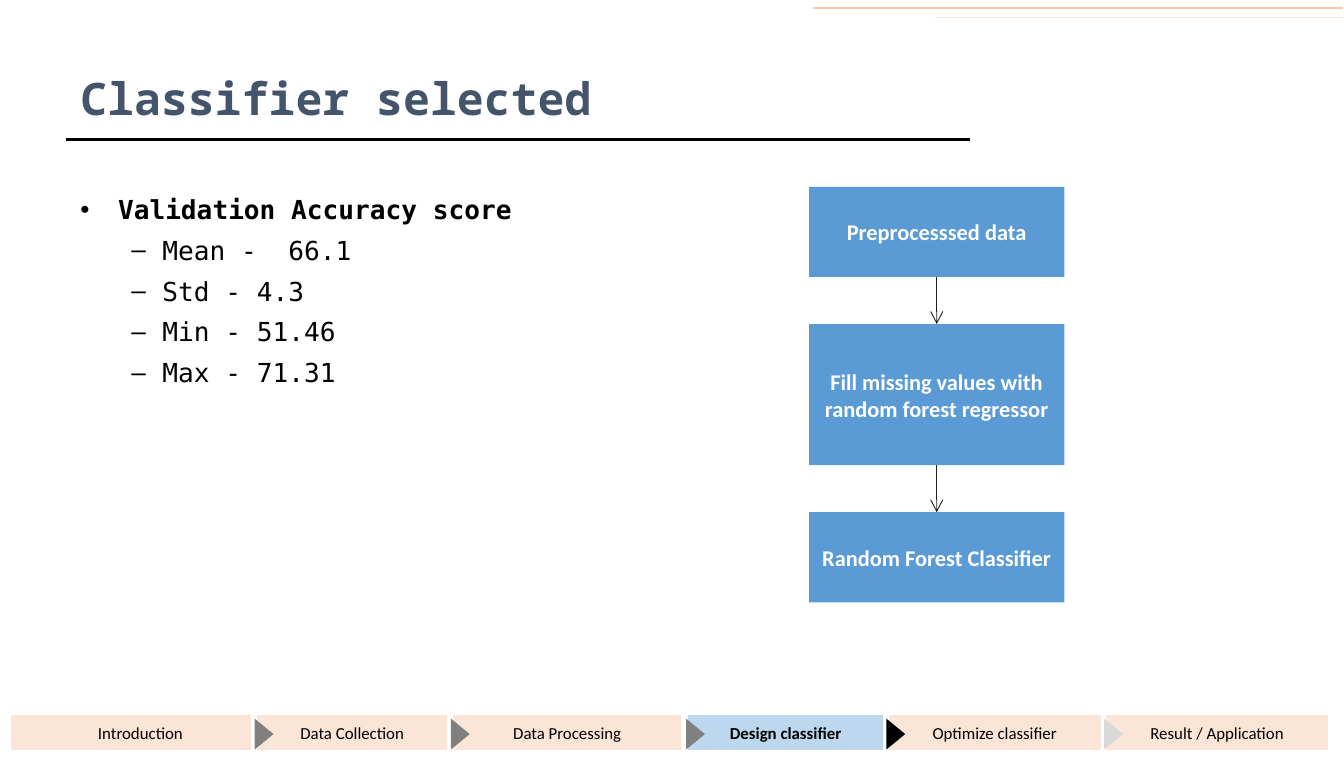
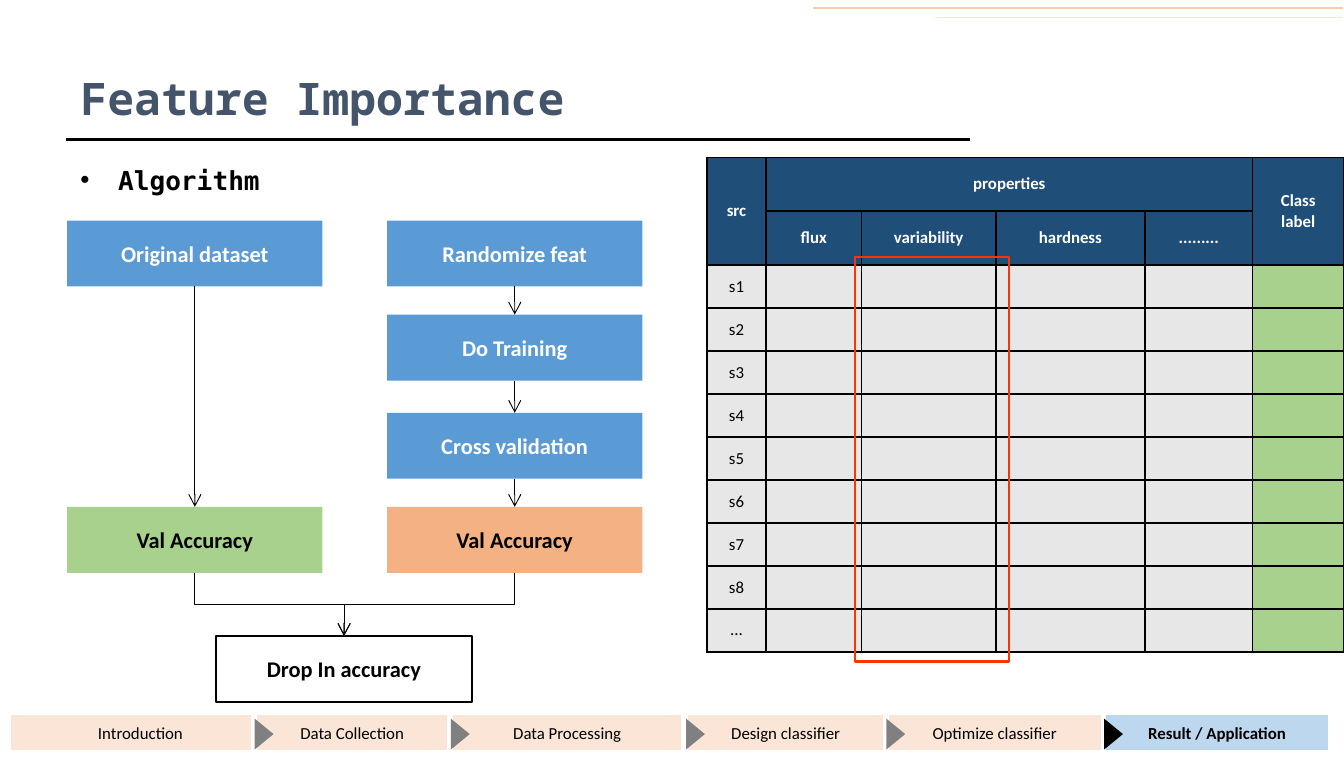
"""Build two slides on a random forest classifier and its feature importance."""
import lxml.etree
import pptx
import pptx.dml.color
import pptx.enum.shapes
import pptx.enum.text
import pptx.oxml.ns
import pptx.util

Inches = pptx.util.Inches
Pt = pptx.util.Pt
SHAPE = pptx.enum.shapes.MSO_SHAPE
CONNECTOR = pptx.enum.shapes.MSO_CONNECTOR
ALIGN = pptx.enum.text.PP_ALIGN
ANCHOR = pptx.enum.text.MSO_ANCHOR

COLORS = {
    "black": "000000", "white": "FFFFFF", "title": "44546A", "ink": "202020",
    "peach": "FBE5D6", "apricot": "F8CBAD", "active": "BDD7EE",
    "done": "808080", "pending": "D9D9D9", "blue": "5B9BD5",
    "green": "A9D18E", "orange": "F4B183", "navy": "1F4E79",
    "cell": "E7E7E7", "red": "FF3300",
}
TITLE_FONT, BODY_FONT, LABEL_FONT = "Noto Sans Mono", "DejaVu Sans Mono", "Calibri"
STEPS = [
    ("Introduction", 0.06, 1.97), ("Data Collection", 1.89, 1.46),
    ("Data Processing", 3.35, 1.74), ("Design classifier", 5.1, 1.49),
    ("Optimize classifier", 6.59, 1.62), ("Result / Application", 8.21, 1.69),
]
BULLETS = [("•", 0.28, 0.28), ("–", 0.61, 0.23)]
BOX_WIDTH = 1.9


def rgb(name):
    return pptx.dml.color.RGBColor.from_string(COLORS[name])


def add_xml(parent, tag, **attributes):
    return lxml.etree.SubElement(parent, pptx.oxml.ns.qn(tag), attributes)


class Builder:
    """Holds the style and the current slide."""

    def __init__(self):
        self.deck = pptx.Presentation()
        self.deck.slide_width, self.deck.slide_height = Inches(10), Inches(5.63)
        self.page = None

    def new_page(self, title):
        self.page = self.deck.slides.add_slide(self.deck.slide_layouts[6])
        self.line((0.49, 1.04), (7.22, 1.04), "black", 1.5)
        self.line((9.99, 0.06), (6.05, 0.06), "apricot", 1)
        self.line((9.99, 0.13), (6.96, 0.13), "peach", 1)
        frame = self.text_box(0.5, 0.4, 8.45, 0.65)
        frame.vertical_anchor = ANCHOR.MIDDLE
        frame.text = title
        self.format(frame.paragraphs[0], TITLE_FONT, 24, "title", True)

    def format(self, para, font, size, color, bold):
        for span in para.runs:
            span.font.name, span.font.size, span.font.bold = font, Pt(size), bold
            span.font.color.rgb = rgb(color)

    def label(self, frame, text, size, color, bold):
        frame.text = text
        for para in frame.paragraphs:
            para.alignment = ALIGN.CENTER
            self.format(para, LABEL_FONT, size, color, bold)

    def text_box(self, left, top, width, height):
        box = self.page.shapes.add_textbox(
            Inches(left), Inches(top), Inches(width), Inches(height))
        box.text_frame.word_wrap = True
        return box.text_frame

    def bullets(self, top, height, items):
        frame = self.text_box(0.5, top, 4.41, height)
        frame.text = "\n".join(text for level, text in items)
        for para, (level, text) in zip(frame.paragraphs, items):
            mark, margin, hanging = BULLETS[level]
            para.level, para.space_before = level, Pt(5)
            self.format(para, BODY_FONT, 14, "black", level == 0)
            properties = para._p.get_or_add_pPr()
            properties.set("marL", str(Inches(margin)))
            properties.set("indent", str(-Inches(hanging)))
            add_xml(properties, "a:buFont", typeface="Arial")
            add_xml(properties, "a:buChar", char=mark)

    def shape(self, kind, left, top, width, height, fill=None, line=None, weight=1):
        shape = self.page.shapes.add_shape(
            kind, Inches(left), Inches(top), Inches(width), Inches(height))
        shape.shadow.inherit = False
        if fill:
            shape.fill.solid()
            shape.fill.fore_color.rgb = rgb(fill)
        else:
            shape.fill.background()
        if line:
            shape.line.color.rgb = rgb(line)
            shape.line.width = Pt(weight)
        else:
            shape.line.fill.background()
        return shape

    def box(self, text, left, top, width, height, fill=None, color="black",
            size=12, bold=True, line=None, weight=1):
        box = self.shape(SHAPE.RECTANGLE, left, top, width, height, fill, line, weight)
        frame = box.text_frame
        frame.word_wrap = True
        frame.vertical_anchor = ANCHOR.MIDDLE
        frame.margin_left = frame.margin_right = Inches(0.05)
        self.label(frame, text, size, color, bold)

    def line(self, start, end, color, weight, arrow=False, kind=CONNECTOR.STRAIGHT):
        line = self.page.shapes.add_connector(
            kind, *(Inches(value) for value in start + end))
        line.line.color.rgb = rgb(color)
        line.line.width = Pt(weight)
        if arrow:
            add_xml(line.line._get_or_add_ln(), "a:tailEnd", type="arrow")
        add_xml(line._element.spPr, "a:effectLst")
        return line

    def elbow_down(self, start, end):
        (x1, y1), (x2, y2) = start, end
        middle_x, middle_y = (x1 + x2) / 2, (y1 + y2) / 2
        drop, shift = (y2 - y1) / 2, (x1 - x2) / 2
        elbow = self.line((middle_x - drop, middle_y - shift),
                          (middle_x + drop, middle_y + shift),
                          "black", 0.5, True, CONNECTOR.ELBOW)
        elbow._element.spPr.find(pptx.oxml.ns.qn("a:xfrm")).set("rot", "5400000")

    def flow(self, left, steps, arrow_color="black"):
        center = left + BOX_WIDTH / 2
        for text, top, height, fill, color in steps:
            self.box(text, left, top, BOX_WIDTH, height, fill, color)
        for above, below in zip(steps, steps[1:]):
            self.line((center, above[1] + above[2]), (center, below[1]),
                      arrow_color, 0.5, True)

    def progress(self, active):
        for index, (text, left, width) in enumerate(STEPS):
            current = index == active
            self.box(text, left, 5.3, width, 0.3, "active" if current else "peach",
                     size=9, bold=current, line="white", weight=3)
        marker = min(active, len(STEPS) - 2)
        for index, (text, left, width) in enumerate(STEPS[1:]):
            color = "done" if index < marker else "black" if index == marker else "pending"
            arrow = self.shape(SHAPE.ISOSCELES_TRIANGLE, left - 0.04, 5.39, 0.23, 0.14, color)
            arrow.rotation = 90

    def cell(self, cell, text, fill, color, bold):
        cell.vertical_anchor = ANCHOR.MIDDLE
        cell.margin_top = cell.margin_bottom = 0
        cell.margin_left = cell.margin_right = Inches(0.05)
        self.label(cell.text_frame, text, 9, color, bold)
        properties = cell._tc.get_or_add_tcPr()
        for side in ("a:lnL", "a:lnR", "a:lnT", "a:lnB"):
            border = add_xml(properties, side, w=str(Pt(1)))
            add_xml(add_xml(border, "a:solidFill"), "a:srgbClr", val=COLORS["black"])
        cell.fill.solid()
        cell.fill.fore_color.rgb = rgb(fill)

    def table(self, left, top, widths, heights, rows, merges):
        table = self.page.shapes.add_table(
            len(rows), len(widths), Inches(left), Inches(top),
            Inches(sum(widths)), Inches(sum(heights))).table
        table.first_row = table.horz_banding = False
        for column, width in zip(table.columns, widths):
            column.width = Inches(width)
        for row, height in zip(table.rows, heights):
            row.height = Inches(height)
        for row_index, texts in enumerate(rows):
            header = row_index < 2
            for column_index, text in enumerate(texts):
                last = column_index == len(widths) - 1
                fill = "navy" if header else "green" if last else "cell"
                self.cell(table.cell(row_index, column_index), text, fill,
                          "white" if header else "black", header)
        for first, final in merges:
            table.cell(*first).merge(table.cell(*final))


def classifier_page(builder):
    builder.new_page("Classifier selected")
    builder.progress(3)
    builder.flow(6.02, [
        ("Preprocesssed data", 1.39, 0.67, "blue", "white"),
        ("Fill missing values with random forest regressor", 2.41, 1.05, "blue", "white"),
        ("Random Forest Classifier", 3.81, 0.67, "blue", "white"),
    ], "ink")
    builder.bullets(1.39, 3.64, [
        (0, "Validation Accuracy score"), (1, "Mean -  66.1"), (1, "Std - 4.3"),
        (1, "Min - 51.46"), (1, "Max - 71.31"),
    ])


def importance_page(builder):
    builder.new_page("Feature Importance")
    builder.bullets(1.17, 0.36, [(0, "Algorithm")])
    sources = [f"s{number}" for number in range(1, 9)] + ["..."]
    rows = [["src", "properties", "", "", "", "Class\nlabel"],
            ["", "flux", "variability", "hardness", ".........", ""]]
    rows += [[source] + [""] * 5 for source in sources]
    builder.table(5.26, 1.17, [0.44, 0.71, 1, 1.11, 0.8, 0.68],
                  [0.4] * 2 + [0.32] * len(sources), rows,
                  [((0, 0), (1, 0)), ((0, 1), (0, 4)), ((0, 5), (1, 5))])
    height = 0.49
    builder.flow(2.88, [
        ("Randomize feat", 1.64, height, "blue", "white"),
        ("Do Training", 2.34, height, "blue", "white"),
        ("Cross validation", 3.07, height, "blue", "white"),
        ("Val Accuracy", 3.77, height, "orange", "black"),
    ])
    builder.flow(0.5, [
        ("Original dataset", 1.64, height, "blue", "white"),
        ("Val Accuracy", 3.77, height, "green", "black"),
    ])
    builder.box("Drop In accuracy", 1.61, 4.73, BOX_WIDTH, height, line="black")
    for center in (1.45, 3.83):
        builder.elbow_down((center, 4.26), (2.56, 4.73))
    builder.progress(5)
    builder.shape(SHAPE.RECTANGLE, 6.36, 1.91, 1.15, 3.01, line="red", weight=1.25)


def main():
    builder = Builder()
    classifier_page(builder)
    importance_page(builder)
    builder.deck.save("out.pptx")


if __name__ == "__main__":
    main()
